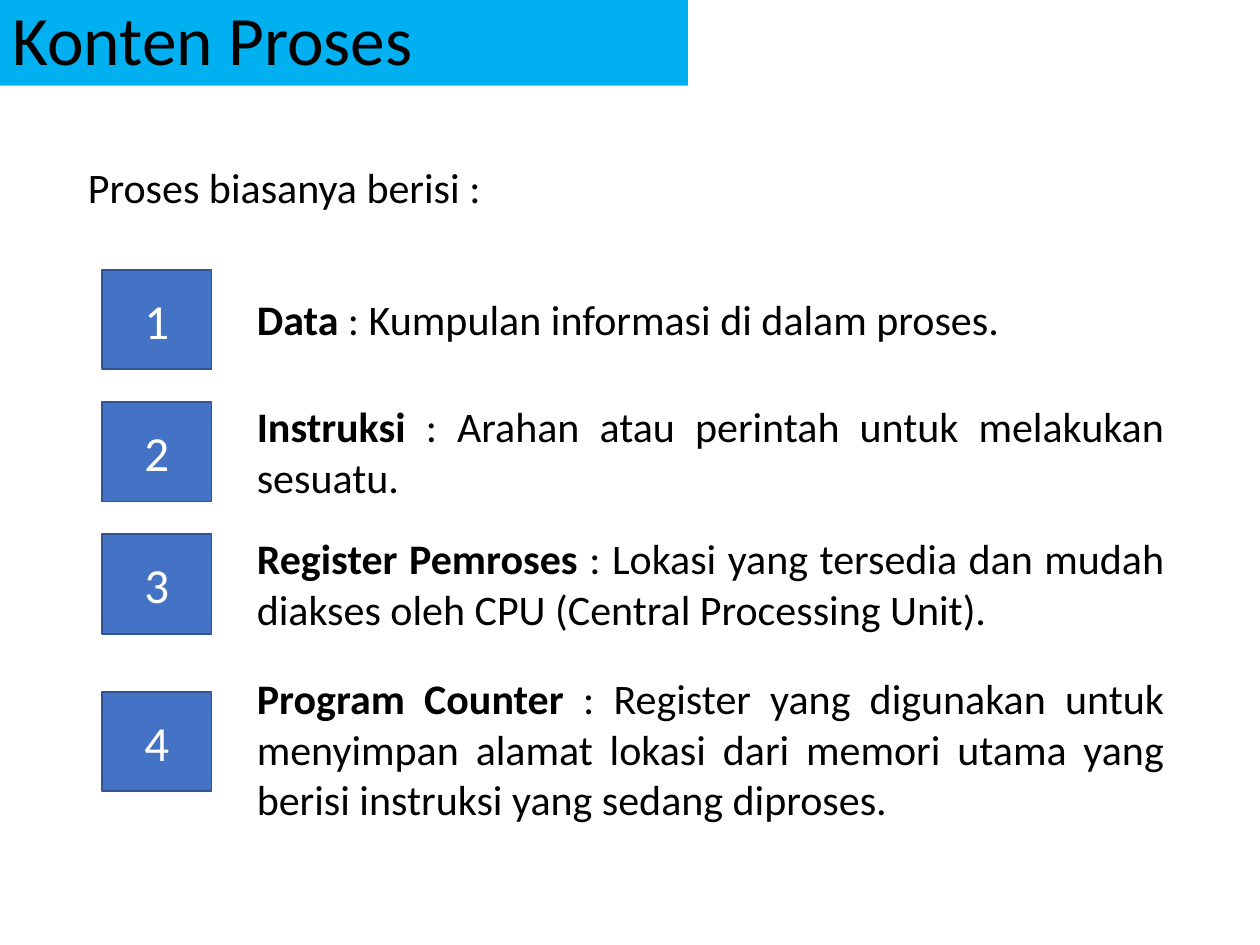
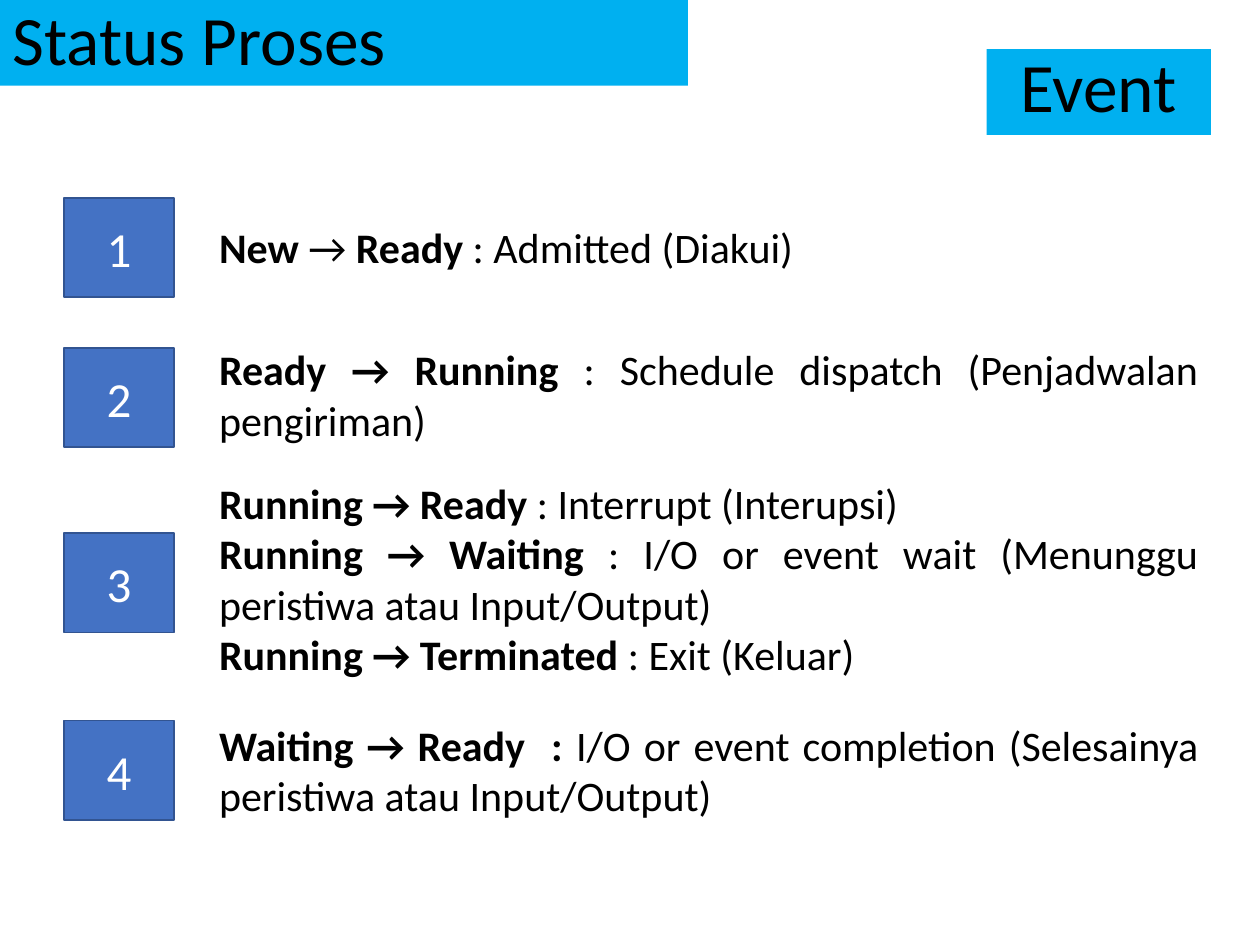
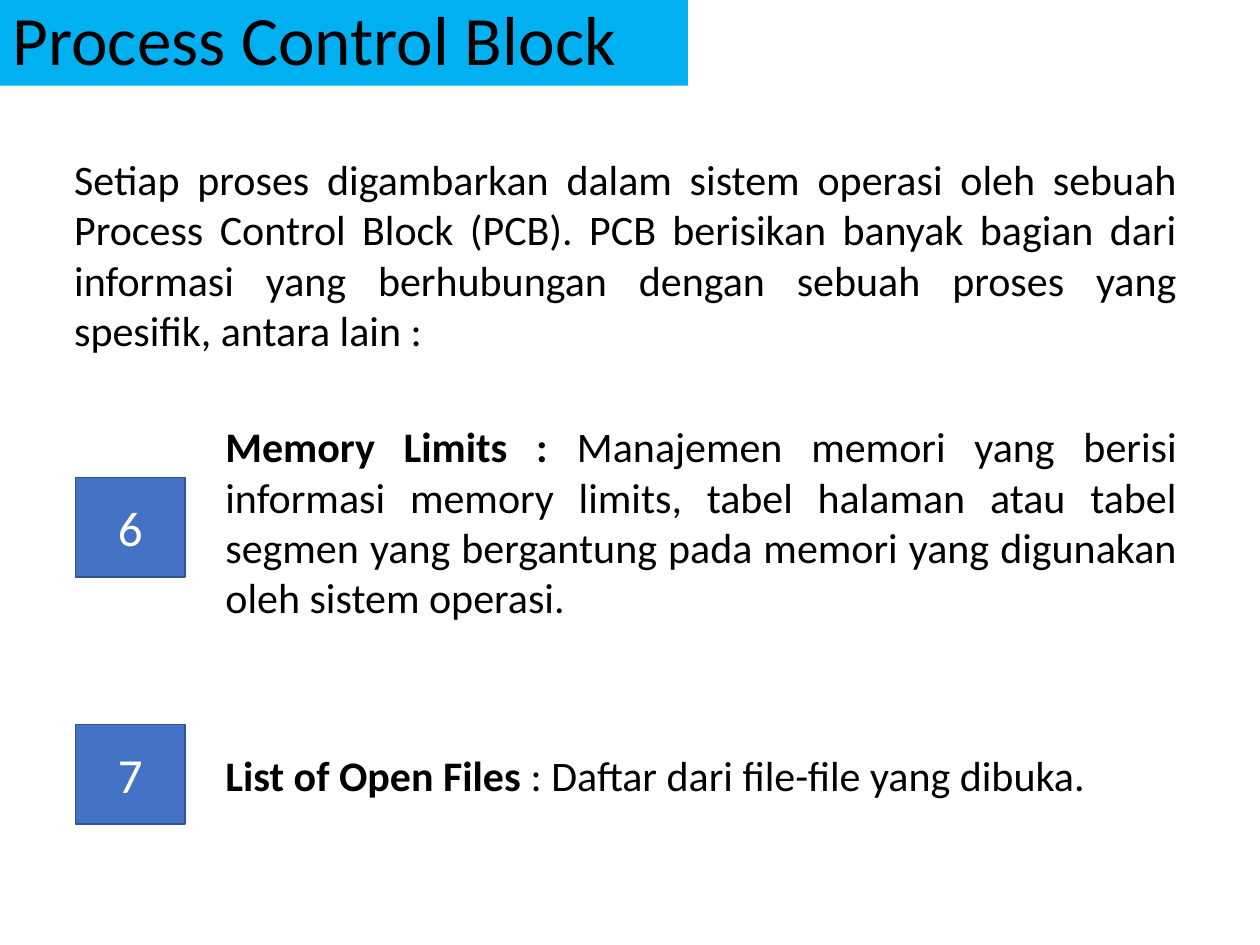
"""Build three slides on process contents, process states and the process control block."""
from pptx import Presentation
from pptx import util as u
from pptx.dml.color import RGBColor
from pptx.enum import shapes, text

FONT = "Calibri"
BLACK, WHITE = "000000", "FFFFFF"
BAND, BADGE, BADGE_LINE = "00B0F0", "4472C4", "325491"
BADGE_WIDTH, BADGE_HEIGHT = 62.6, 56.9
LINE_HEIGHT, INSETS = 29.3, 7.2

BODY = {"size": 24, "color": BLACK, "align": text.PP_ALIGN.JUSTIFY}
NUMBER = {"size": 28, "color": WHITE, "align": text.PP_ALIGN.CENTER}
TITLE = {"size": 39.6, "color": BLACK, "align": text.PP_ALIGN.LEFT, "spacing": 0.9}
TAG = {**TITLE, "align": text.PP_ALIGN.CENTER, "spacing": 0.8}

# Paragraphs are tuples of runs that alternate bold and plain, bold first.
# Each row: number, badge top, text top, text width, line count, paragraphs.
SLIDES = [
    {
        "title": "Konten Proses",
        "intro": (43.2, 88.6, 629.3, 1, [("", "Proses biasanya berisi :")]),
        "badge_left": 58.3, "text_left": 139.7,
        "rows": [
            (1, 154.1, 164.2, 532.8, 1,
             [("Data ", ": Kumpulan informasi di dalam proses.")]),
            (2, 229.7, 225.4, 532.8, 2,
             [("Instruksi ", ": Arahan atau perintah untuk melakukan sesuatu.")]),
            (3, 305.3, 301, 532.8, 2,
             [("Register Pemroses ", ": Lokasi yang tersedia dan mudah diakses "
               "oleh CPU (Central Processing Unit).")]),
            (4, 395.3, 380.9, 532.8, 3,
             [("Program Counter ", ": Register yang digunakan untuk menyimpan alamat "
               "lokasi dari memori utama yang berisi instruksi yang sedang diproses.")]),
        ],
    },
    {
        "title": "Status Proses",
        "tag": "Event",
        "badge_left": 36.7, "text_left": 118.1,
        "rows": [
            (1, 113, 123.1, 532.8, 1,
             [("New ", "→ ", "Ready ", ": Admitted (Diakui)")]),
            (2, 198.7, 193, 573.8, 2,
             [("Ready → Running ", ": Schedule dispatch (Penjadwalan pengiriman)")]),
            (3, 304.6, 269.3, 573.8, 4,
             [("Running → Ready ", ": Interrupt (Interupsi)"),
              ("Running → Waiting ", ": I/O or event wait (Menunggu peristiwa "
               "atau Input/Output)"),
              ("Running → Terminated", " : Exit (Keluar)")]),
            (4, 411.8, 407.5, 573.8, 2,
             [("Waiting → Ready  : ", "I/O or event completion (Selesainya peristiwa "
               "atau Input/Output)")]),
        ],
    },
    {
        "title": "Process Control Block",
        "intro": (35.3, 84.2, 644.4, 4,
                  [("", "Setiap proses digambarkan dalam sistem operasi oleh sebuah "
                    "Process Control Block (PCB). PCB berisikan banyak bagian dari "
                    "informasi yang berhubungan dengan sebuah proses yang spesifik, "
                    "antara lain :")]),
        "badge_left": 43.2, "text_left": 121.7,
        "rows": [
            (6, 272.9, 236.9, 558, 4,
             [("Memory Limits : ", "Manajemen memori yang berisi informasi memory "
               "limits, tabel halaman atau tabel segmen yang bergantung pada memori "
               "yang digunakan oleh sistem operasi.")]),
            (7, 414, 424.8, 558, 1,
             [("List of Open Files ", ": Daftar dari file-file yang dibuka.")]),
        ],
    },
]


def color(value):
    """Turn a hex string into a colour."""
    return RGBColor.from_string(value)


def place(*lengths):
    """Convert point values to lengths."""
    return [u.Pt(length) for length in lengths]


def write(frame, paragraphs, style):
    """Fill a text frame with paragraphs of alternating bold and plain runs."""
    frame.word_wrap = True
    for index, runs in enumerate(paragraphs):
        paragraph = frame.add_paragraph() if index else frame.paragraphs[0]
        paragraph.alignment = style["align"]
        paragraph.line_spacing = style.get("spacing", 1.0)
        paragraph.space_before = u.Pt(0)
        for position, words in enumerate(runs):
            if words:
                run = paragraph.add_run()
                run.text = words
                values = {"name": FONT, "size": u.Pt(style["size"]),
                          "bold": position % 2 == 0}
                for name, value in values.items():
                    setattr(run.font, name, value)
                run.font.color.rgb = color(style["color"])


def fill(shape, value):
    """Give a shape a solid fill and centre its text vertically."""
    shape.fill.solid()
    shape.fill.fore_color.rgb = color(value)
    shape.text_frame.vertical_anchor = text.MSO_ANCHOR.MIDDLE
    shape.text_frame.auto_size = text.MSO_AUTO_SIZE.NONE


def add_box(parent, box, words, style, fill_color, line_color=None):
    """Add a filled rectangle with a single plain label."""
    shape = parent.add_shape(shapes.MSO_SHAPE.RECTANGLE, *place(*box))
    shape.shadow.inherit = False
    fill(shape, fill_color)
    if line_color:
        shape.line.color.rgb = color(line_color)
        shape.line.width = u.Pt(1)
    else:
        shape.line.fill.background()
    write(shape.text_frame, [("", words)], style)


def add_body(parent, left, top, width, lines, paragraphs):
    """Add justified text whose height follows its line count."""
    box = parent.add_textbox(*place(left, top, width, lines * LINE_HEIGHT + INSETS))
    write(box.text_frame, paragraphs, BODY)
    box.text_frame.auto_size = text.MSO_AUTO_SIZE.SHAPE_TO_FIT_TEXT


def add_slide(presentation, content):
    """Add a titled slide with its numbered rows."""
    slide = presentation.slides.add_slide(presentation.slide_layouts[5])
    title = slide.shapes.title
    title.left, title.top, title.width, title.height = place(0, 0, 393.1, 49)
    fill(title, BAND)
    write(title.text_frame, [("", content["title"])], TITLE)
    if "intro" in content:
        add_body(slide.shapes, *content["intro"])
    for number, badge_top, text_top, width, lines, paragraphs in content["rows"]:
        row = slide.shapes.add_group_shape().shapes
        add_box(row, (content["badge_left"], badge_top, BADGE_WIDTH, BADGE_HEIGHT),
                str(number), NUMBER, BADGE, BADGE_LINE)
        add_body(row, content["text_left"], text_top, width, lines, paragraphs)
    if "tag" in content:
        add_box(slide.shapes, (563.8, 28.1, 128.2, 49), content["tag"], TAG, BAND)


def main():
    """Build and save the presentation."""
    presentation = Presentation()
    presentation.slide_width, presentation.slide_height = place(720, 540)
    for content in SLIDES:
        add_slide(presentation, content)
    presentation.save("out.pptx")


if __name__ == "__main__":
    main()
